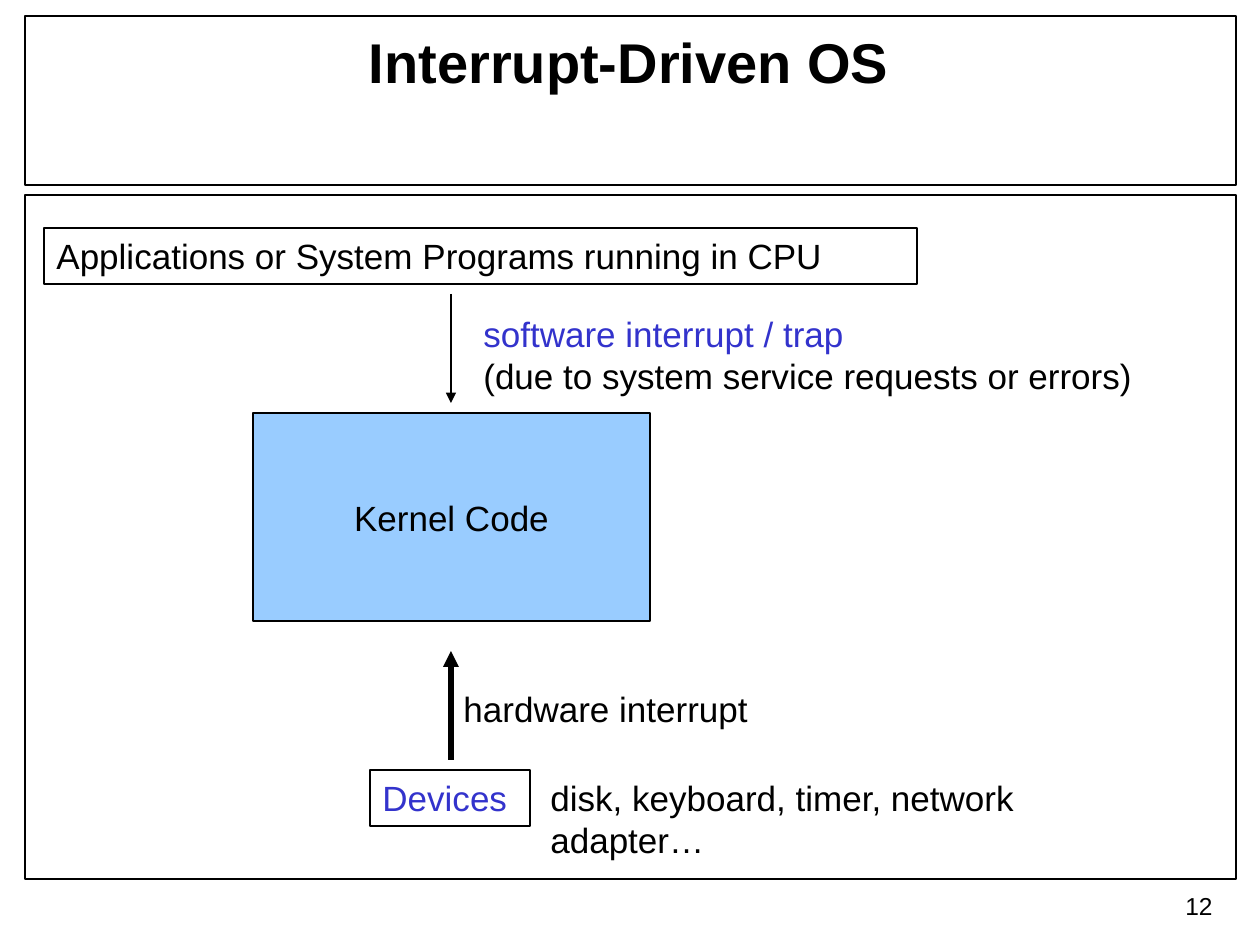
from lxml import etree
from pptx import Presentation
from pptx.dml.color import RGBColor
from pptx.enum.shapes import MSO_CONNECTOR, MSO_SHAPE
from pptx.enum.text import MSO_ANCHOR, MSO_AUTO_SIZE, PP_ALIGN
from pptx.oxml.ns import qn
from pptx.util import Emu, Pt

BLACK = RGBColor(0x00, 0x00, 0x00)
BLUE = RGBColor(0x33, 0x33, 0xCC)
SKY = RGBColor(0x99, 0xCC, 0xFF)
LEFT, MID, RIGHT = PP_ALIGN.LEFT, PP_ALIGN.CENTER, PP_ALIGN.RIGHT
TOP, CENTER = MSO_ANCHOR.TOP, MSO_ANCHOR.MIDDLE
FIXED = MSO_AUTO_SIZE.NONE
RECT, STRAIGHT = MSO_SHAPE.RECTANGLE, MSO_CONNECTOR.STRAIGHT
PAD_X, PAD_Y = 12.6, 6.3
AXIS = 451


def px(n):
    """Turn pixels into EMU."""
    return Emu(round(n * 914400 / 126))


def put(item, values):
    """Set each named value on an item."""
    for name, value in values.items():
        setattr(item, name, value)


def write(shape, lines, size=20, bold=False, align=LEFT, anchor=TOP, wrap=True):
    """Fill a shape with lines of text and colour."""
    frame = shape.text_frame
    put(frame, {
        "word_wrap": wrap, "auto_size": FIXED, "vertical_anchor": anchor,
        "margin_left": px(PAD_X), "margin_right": px(PAD_X),
        "margin_top": px(PAD_Y), "margin_bottom": px(PAD_Y),
    })
    frame.text = "\n".join(text for text, _ in lines)
    for para, (_, color) in zip(frame.paragraphs, lines):
        para.alignment = align
        put(para.font, {"name": "Arial", "size": Pt(size), "bold": bold})
        para.font.color.rgb = color


def add_title(slide, text, *area):
    """Place and format the slide title."""
    title = slide.shapes.title
    put(title, dict(zip(("left", "top", "width", "height"), map(px, area))))
    write(title, [(text, BLACK)], size=32, bold=True, align=MID)


def add_box(slide, *area, fill=None):
    """Add an outlined rectangle."""
    box = slide.shapes.add_shape(RECT, *map(px, area))
    box.shadow.inherit = False
    if fill is None:
        box.fill.background()
    else:
        box.fill.solid()
        box.fill.fore_color.rgb = fill
    box.line.color.rgb = BLACK
    box.line.width = Pt(0.75)
    return box


def add_label(slide, area, lines, **style):
    """Add a text box."""
    write(slide.shapes.add_textbox(*map(px, area)), lines, **style)


def add_arrow(slide, start, end, width):
    """Add a vertical arrow on the kernel axis."""
    ends = map(px, (AXIS, start, AXIS, end))
    arrow = slide.shapes.add_connector(STRAIGHT, *ends)
    arrow.line.color.rgb = BLACK
    arrow.line.width = Pt(width)
    props = arrow.line._get_or_add_ln()
    etree.SubElement(props, qn("a:tailEnd"), type="triangle")
    etree.SubElement(arrow._element.spPr, qn("a:effectLst"))


def main():
    """Build the slide."""
    deck = Presentation()
    put(deck, {"slide_width": px(1260), "slide_height": px(945)})
    slide = deck.slides.add_slide(deck.slide_layouts[5])

    add_box(slide, 25, 16, 1211, 169)
    add_box(slide, 25, 195, 1211, 684)
    add_title(slide, "Interrupt-Driven OS", 44, 21, 1170, 158)

    kernel = add_box(slide, 253, 413, 397, 208, fill=SKY)
    write(kernel, [("Kernel Code", BLACK)], align=MID, anchor=CENTER)
    write(add_box(slide, 370, 770, 160, 56), [("Devices", BLUE)])
    apps = add_box(slide, 44, 228, 873, 56)
    write(apps, [("Applications or System Programs running in CPU", BLACK)])

    add_arrow(slide, 760, 651, 3)
    add_arrow(slide, 294, 403, 0.75)

    add_label(slide, (451, 681, 311, 58), [("hardware interrupt", BLACK)],
              wrap=False)
    add_label(slide, (471, 306, 680, 103), [
        ("software interrupt / trap", BLUE),
        ("(due to system service requests or errors)", BLACK),
    ])
    add_label(slide, (538, 770, 644, 58),
              [("disk, keyboard, timer, network adapter…", BLACK)])
    add_label(slide, (1094, 885, 131, 43), [("12", BLACK)],
              size=14, align=RIGHT)
    deck.save("out.pptx")


if __name__ == "__main__":
    main()
